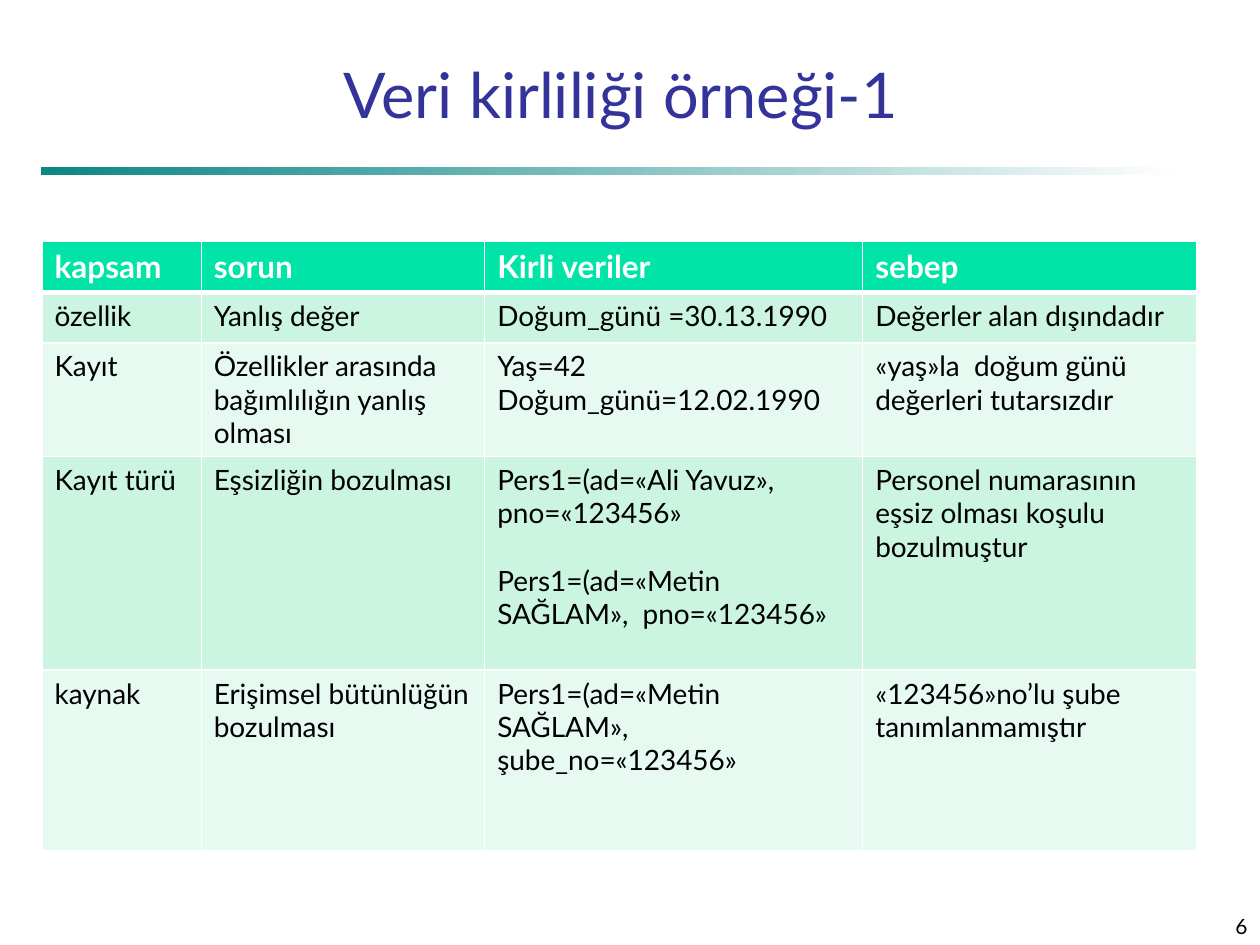
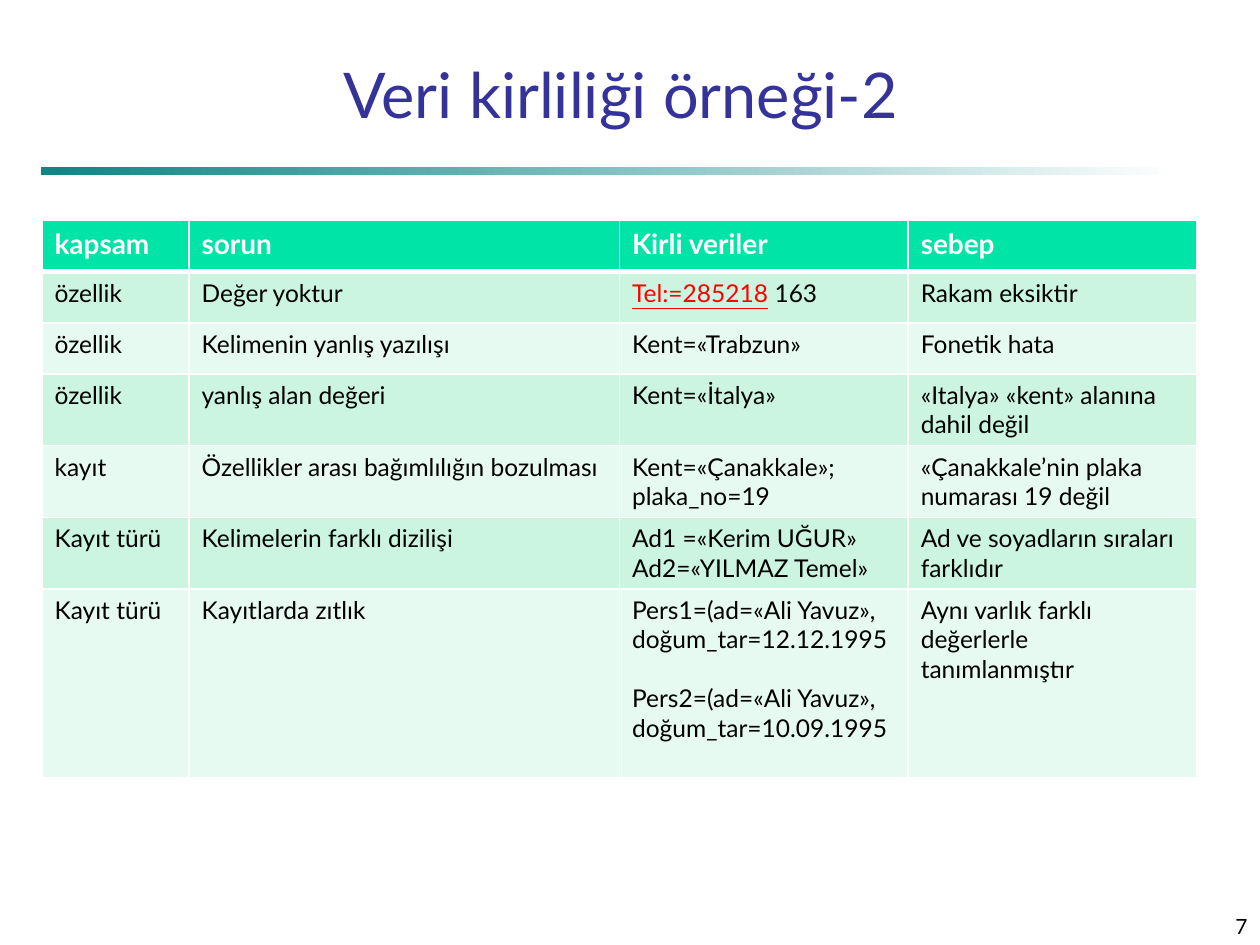
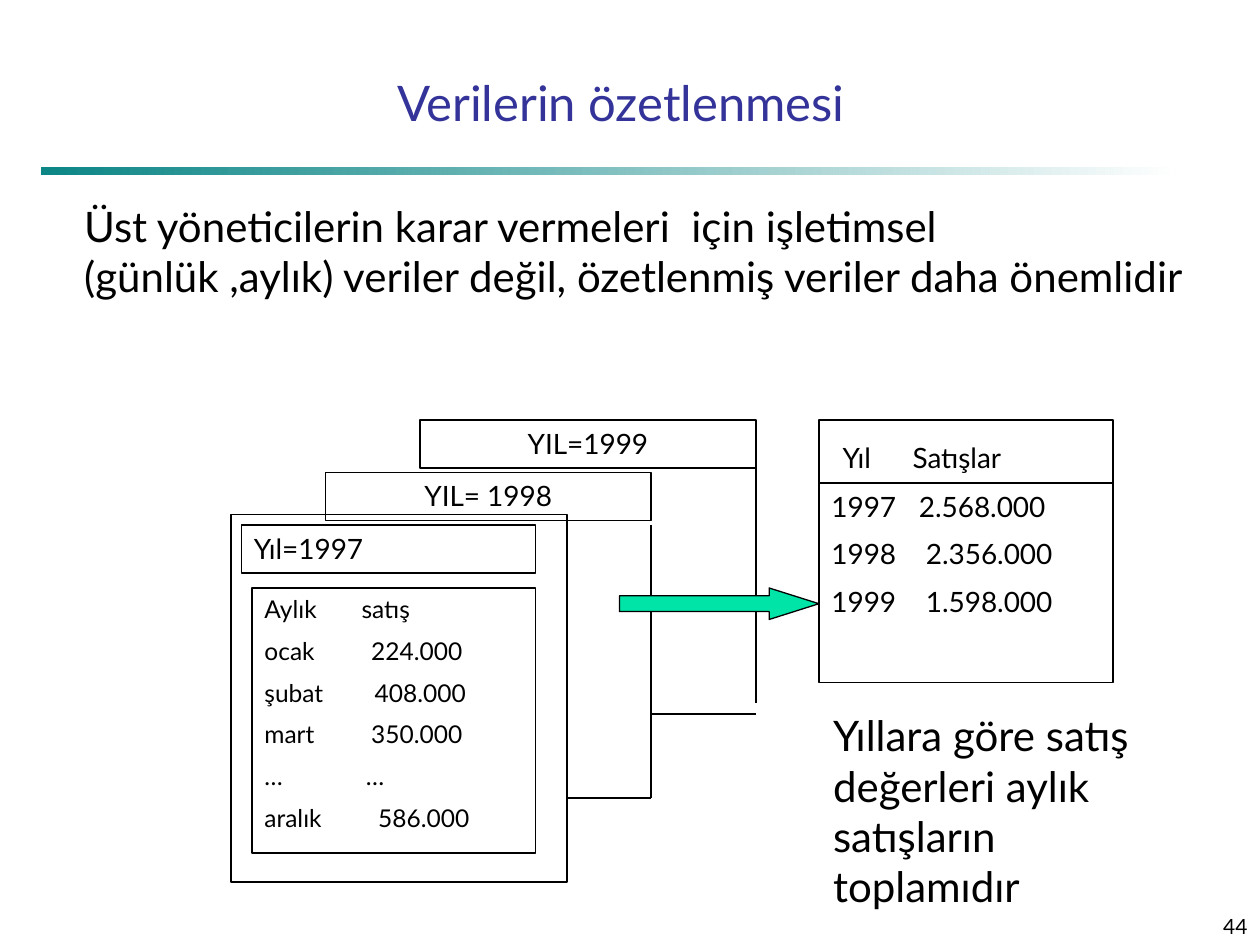
from pptx import Presentation
from pptx.dml.color import RGBColor
from pptx.enum.shapes import MSO_CONNECTOR, MSO_SHAPE
from pptx.enum.text import MSO_ANCHOR, PP_ALIGN
from pptx.oxml.ns import qn
from pptx.util import Pt
from lxml.etree import SubElement

FONT = "Lato"
INK, NAVY, TEAL, WHITE, RED = "000000", "333399", "008080", "FFFFFF", "FF0000"
MINT, BANDS = "00E4A8", ("E7FAF1", "CBF5E1")
LEFT, CENTER, RIGHT = PP_ALIGN.LEFT, PP_ALIGN.CENTER, PP_ALIGN.RIGHT

# Content: a blank line in a cell becomes paragraph spacing, "|" ends a marked part
HEAD = ("kapsam", "sorun", "Kirli veriler", "sebep")
TABLES = [
    dict(title="Veri kirliliği örneği-1", page="6", top=138, head=18, size=16,
         cols=(91, 162, 216, 191), heights=(29, 29, 65, 122, 103),
         rows=[
             HEAD,
             ("özellik", "Yanlış değer", "Doğum_günü =30.13.1990", "Değerler alan dışındadır"),
             ("Kayıt", "Özellikler arasında bağımlılığın yanlış olması",
              "Yaş=42\nDoğum_günü=12.02.1990", "«yaş»la  doğum günü değerleri tutarsızdır"),
             ("Kayıt türü", "Eşsizliğin bozulması",
              "Pers1=(ad=«Ali Yavuz», pno=«123456»\n\nPers1=(ad=«Metin SAĞLAM»,  pno=«123456»",
              "Personel numarasının eşsiz olması koşulu bozulmuştur"),
             ("kaynak", "Erişimsel bütünlüğün bozulması",
              "Pers1=(ad=«Metin SAĞLAM»,  şube_no=«123456»",
              "«123456»no’lu şube tanımlanmamıştır"),
         ]),
    dict(title="Veri kirliliği örneği-2", page="7", top=126, head=16, size=14,
         cols=(84, 246, 165, 165), heights=(29.25, 29.25, 29.25, 41, 41, 41, 108),
         rows=[
             HEAD,
             ("özellik", "Değer yoktur", "Tel:=285218| 163", "Rakam eksiktir"),
             ("özellik", "Kelimenin yanlış yazılışı", "Kent=«Trabzun»", "Fonetik hata"),
             ("özellik", "yanlış alan değeri", "Kent=«İtalya»", "«Italya» «kent» alanına dahil değil"),
             ("kayıt", "Özellikler arası bağımlılığın bozulması",
              "Kent=«Çanakkale»; plaka_no=19", "«Çanakkale’nin plaka numarası 19 değil"),
             ("Kayıt türü", "Kelimelerin farklı dizilişi",
              "Ad1 =«Kerim UĞUR»\nAd2=«YILMAZ Temel»", "Ad ve soyadların sıraları farklıdır"),
             ("Kayıt türü", "Kayıtlarda zıtlık",
              "Pers1=(ad=«Ali Yavuz», doğum_tar=12.12.1995\n\n"
              "Pers2=(ad=«Ali Yavuz», doğum_tar=10.09.1995",
              "Aynı varlık farklı değerlerle tanımlanmıştır"),
         ]),
]
# Month, sales, tab stop
MONTHS = [("Aylık", "satış", 55.5), ("ocak", "224.000", 61), ("şubat", "408.000", 63),
          ("mart", "350.000", 61), ("…", "…", 58), ("aralık", "586.000", 65)]
# Yearly sales and their indent
YEARS = [("2.568.000", 50), ("2.356.000", 54), ("1.598.000", 54)]
# Text, box, alignment
LABELS = [("Yıl=1997", (138, 300, 168, 27.5), LEFT),
          ("YIL= 1998", (186, 270, 186, 27.5), CENTER),
          ("YIL=1999", (240, 240, 192, 27.5), CENTER)]
LINKS = [(372, 300, 372, 456), (324, 456, 372, 456),
         (432, 264, 432, 402), (372, 408, 432, 408)]
NOTES = [("Üst yöneticilerin karar vermeleri  için işletimsel (günlük ,aylık) veriler değil, "
          "özetlenmiş veriler daha önemlidir", (41, 111, 649.5, 65.5)),
         ("Yıllara göre satış değerleri aylık satışların toplamıdır", (469, 402, 186, 124))]


def rgb(code):
    return RGBColor.from_string(code)


def style(para, size, color=INK, bold=False):
    for run in para.runs:
        font = run.font
        font.name, font.size, font.bold = FONT, Pt(size), bold
        font.color.rgb = rgb(color)


def write(frame, text, size, color=INK, align=LEFT, anchor=MSO_ANCHOR.TOP, gap=0):
    frame.word_wrap = True
    frame.vertical_anchor = anchor
    frame.text = text
    for i, para in enumerate(frame.paragraphs):
        para.alignment = align
        if i and gap:
            para.space_before = Pt(gap)
        style(para, size, color)


def label(slide, box, text, size, **kind):
    area = slide.shapes.add_textbox(*map(Pt, box))
    write(area.text_frame, text, size, **kind)


def shape(slide, box, fill=None, line=INK, form=MSO_SHAPE.RECTANGLE):
    item = slide.shapes.add_shape(form, *map(Pt, box))
    item.shadow.inherit = False
    if fill:
        item.fill.solid()
        item.fill.fore_color.rgb = rgb(fill)
    else:
        item.fill.background()
    if line:
        item.line.color.rgb = rgb(line)
        item.line.width = Pt(0.75)
    else:
        item.line.fill.background()
    return item


def link(slide, ends):
    line = slide.shapes.add_connector(MSO_CONNECTOR.STRAIGHT, *map(Pt, ends))
    line.line.color.rgb = rgb(INK)
    line.line.width = Pt(0.75)
    SubElement(line._element.spPr, qn("a:effectLst"))


def tab(para, stop):
    tabs = SubElement(para._p.get_or_add_pPr(), qn("a:tabLst"))
    SubElement(tabs, qn("a:tab"), pos=str(Pt(stop)), algn="l")


def number(para, start, indent):
    props = para._p.get_or_add_pPr()
    props.set("marL", str(Pt(indent)))
    props.set("indent", str(-Pt(indent)))
    SubElement(props, qn("a:buFont"), typeface=FONT)
    SubElement(props, qn("a:buAutoNum"), type="arabicPlain", startAt=str(start))


def start(deck, title, page, size=36):
    """Add a slide with the shared title, fading rule and page number."""
    slide = deck.slides.add_slide(deck.slide_layouts[6])
    bar = shape(slide, (24, 95.5, 648, 4), line=None)
    bar.fill.gradient()
    bar.fill.gradient_angle = 0
    for stop, color in zip(bar.fill.gradient_stops, (TEAL, WHITE)):
        stop.color.rgb = rgb(color)
    first = next(bar._element.iter(qn("a:srgbClr")))
    SubElement(first, qn("a:alpha"), val="95000")
    label(slide, (48, 30, 613.5, 48.5), title, size, color=NAVY, align=CENTER,
          anchor=MSO_ANCHOR.BOTTOM)
    label(slide, (570, 510, 150, 30), page, 12, align=RIGHT, anchor=MSO_ANCHOR.BOTTOM)
    return slide


def border(cell, row):
    props = cell._tc.get_or_add_tcPr()
    heavy = {0: "B", 1: "T"}.get(row)
    for side in "LRTB":
        line = SubElement(props, qn("a:ln" + side), w=str(Pt(3 if side == heavy else 1)))
        SubElement(SubElement(line, qn("a:solidFill")), qn("a:srgbClr"), val=WHITE)


def fill_cell(cell, text, row, data):
    border(cell, row)
    cell.fill.solid()
    cell.fill.fore_color.rgb = rgb(BANDS[row % 2] if row else MINT)
    size = data["size"] if row else data["head"]
    marked, _, rest = text.rpartition("|")
    gap = size * 1.2 if "\n\n" in text else 0
    write(cell.text_frame, marked or rest.replace("\n\n", "\n"), size, gap=gap)
    paras = cell.text_frame.paragraphs
    if marked:
        paras[0].add_run().text = rest
    for para in paras:
        style(para, size, INK if row else WHITE, bold=not row)
    if marked:
        font = paras[0].runs[0].font
        font.color.rgb, font.underline = rgb(RED), True


def table_slide(deck, data):
    slide = start(deck, data["title"], data["page"])
    rows, cols, tall = data["rows"], data["cols"], data["heights"]
    box = (24, data["top"], sum(cols), sum(tall))
    grid = slide.shapes.add_table(len(rows), len(cols), *map(Pt, box)).table
    for col, wide in zip(grid.columns, cols):
        col.width = Pt(wide)
    for r, texts in enumerate(rows):
        grid.rows[r].height = Pt(tall[r])
        for c, text in enumerate(texts):
            fill_cell(grid.cell(r, c), text, r, data)


def sales_slide(deck):
    slide = start(deck, "Verilerin özetlenmesi", "44", 28)

    # Stacked year cards
    shape(slide, (132, 294, 192, 210), WHITE)
    for text, box, align in LABELS:
        write(shape(slide, box).text_frame, text, 16, align=align)

    # Monthly sales
    frame = shape(slide, (144, 336, 162, 151.5)).text_frame
    write(frame, "\n".join(f"{name}\t{sum_}" for name, sum_, _ in MONTHS), 14, gap=7)
    for para, (_, _, stop) in zip(frame.paragraphs, MONTHS):
        tab(para, stop)

    for ends in LINKS:
        link(slide, ends)

    # Yearly totals
    frame = shape(slide, (468, 240, 168, 36.5)).text_frame
    frame.margin_left, frame.margin_top = Pt(13.5), Pt(12)
    write(frame, "Yıl\tSatışlar", 16)
    tab(frame.paragraphs[0], 40)
    frame = shape(slide, (468, 276, 168, 114)).text_frame
    write(frame, "\n".join(total for total, _ in YEARS), 16, gap=8)
    for para, (_, indent) in zip(frame.paragraphs, YEARS):
        number(para, 1997, indent)

    arrow = shape(slide, (354, 336, 114, 18), MINT, form=MSO_SHAPE.RIGHT_ARROW)
    arrow.adjustments[0], arrow.adjustments[1] = 0.5, 1.58

    for text, box in NOTES:
        label(slide, box, text, 24)


def main():
    deck = Presentation()
    deck.slide_width, deck.slide_height = Pt(720), Pt(540)
    for data in TABLES:
        table_slide(deck, data)
    sales_slide(deck)
    deck.save("out.pptx")


if __name__ == "__main__":
    main()
